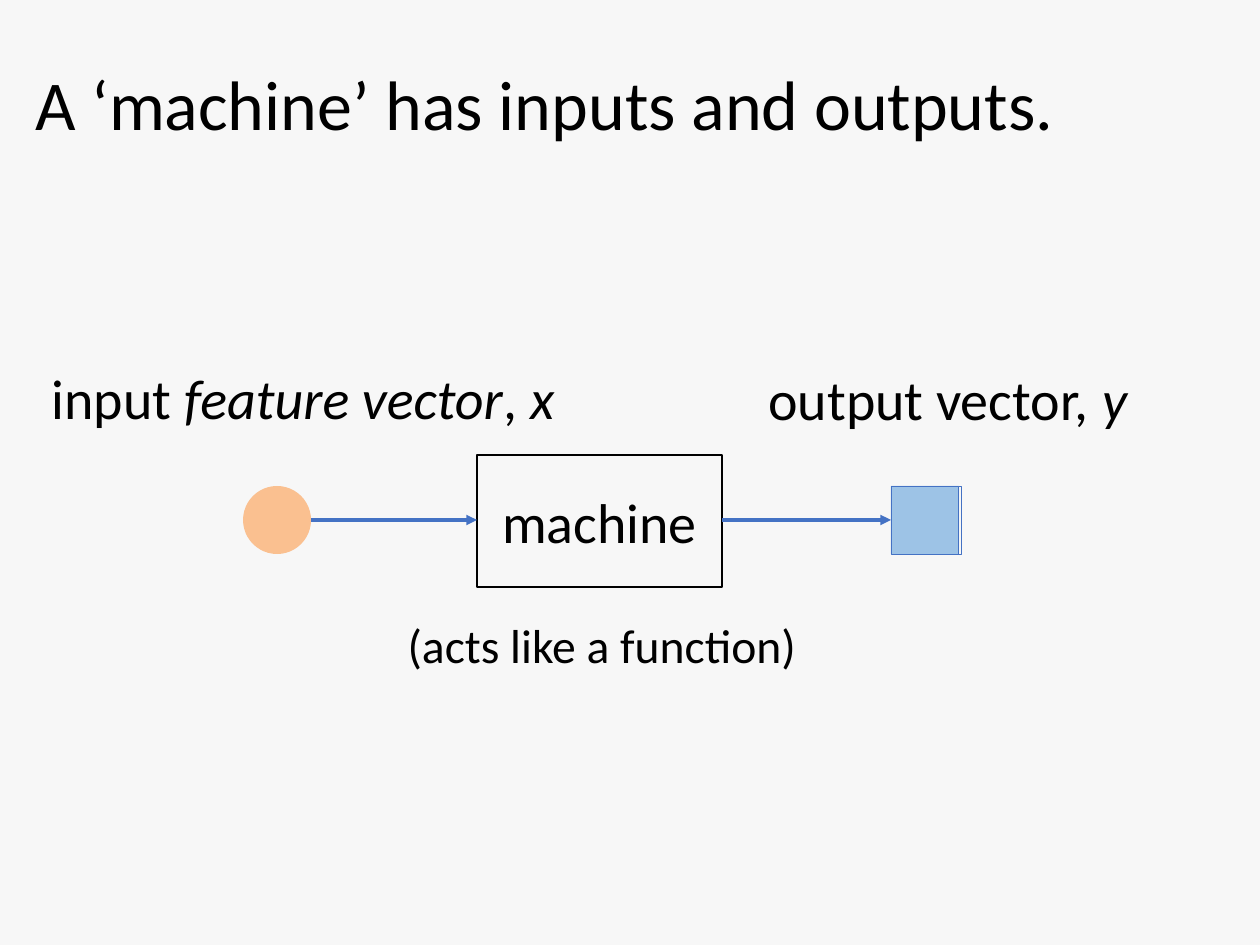
from pptx import Presentation
from pptx.dml.color import RGBColor as RGB
from pptx.enum.shapes import MSO_CONNECTOR as LINK, MSO_SHAPE as FORM
from pptx.enum.text import MSO_ANCHOR as ANCHOR, PP_ALIGN as ALIGN
from pptx.oxml.ns import qn
from pptx.util import Inches, Pt
from lxml.etree import SubElement

PX = Inches(1) / 126
INK = {"back": "F7F7F7", "text": "000000", "blue": "4472C4",
       "input": "FAC090", "output": "9DC3E6"}


def scale(*nums):
    return [round(num * PX) for num in nums]


def write(shape, parts, size, align, anchor, before, lead):
    frame = shape.text_frame
    frame.word_wrap = True
    frame.vertical_anchor = anchor
    para = frame.paragraphs[0]
    para.alignment = align
    para.space_before = Pt(before)
    para.line_spacing = lead
    for num, part in enumerate(parts):
        run = para.add_run()
        run.text = part
        run.font.name = "Calibri"
        run.font.size = Pt(size)
        run.font.italic = num % 2 == 1
        run.font.color.rgb = RGB.from_string(INK["text"])


deck = Presentation()
deck.slide_width, deck.slide_height = scale(1260, 945)
slide = deck.slides.add_slide(deck.slide_layouts[6])
fill = slide.background.fill
fill.solid()
fill.fore_color.rgb = RGB.from_string(INK["back"])

labels = [
    ((23, 16, 1086, 183), ["A ‘machine’ has inputs and outputs."],
     40, ALIGN.LEFT, ANCHOR.MIDDLE, 0, 0.9),
    ((39, 365, 537, 95), ["input ", "feature vector", ", ", "x"],
     32, ALIGN.LEFT, ANCHOR.TOP, 7.5, 0.9),
    ((756, 358, 406, 95), ["output vector, ", "y"],
     32, ALIGN.LEFT, ANCHOR.TOP, 6.4, 1.0),
    ((394, 610, 416, 112), ["(acts like a function)"],
     27.2, ALIGN.CENTER, ANCHOR.TOP, 5.4, 1.0),
]
for place, parts, *style in labels:
    write(slide.shapes.add_textbox(*scale(*place)), parts, *style)

nodes = [
    (FORM.OVAL, (243, 486, 68, 68), "input", None, 0, []),
    (FORM.RECTANGLE, (893, 486, 68, 68), None, "blue", 0.5, []),
    (FORM.RECTANGLE, (477, 455, 245, 132), None, "text", 0.75, ["machine"]),
    (FORM.RECTANGLE, (891, 486, 68, 68), "output", "blue", 0.5, []),
]
for form, place, paint, edge, width, parts in nodes:
    node = slide.shapes.add_shape(form, *scale(*place))
    node.shadow.inherit = False
    if paint:
        node.fill.solid()
        node.fill.fore_color.rgb = RGB.from_string(INK[paint])
    else:
        node.fill.background()
    if edge:
        node.line.color.rgb = RGB.from_string(INK[edge])
        node.line.width = Pt(width)
    else:
        node.line.fill.background()
    if parts:
        write(node, parts, 32, ALIGN.CENTER, ANCHOR.MIDDLE, 6.4, 1.0)

for start, end in [(311, 477), (722, 891)]:
    arrow = slide.shapes.add_connector(LINK.STRAIGHT, *scale(start, 520, end, 520))
    arrow.line.color.rgb = RGB.from_string(INK["blue"])
    arrow.line.width = Pt(2)
    SubElement(arrow.line._get_or_add_ln(), qn("a:tailEnd"), type="triangle")
    SubElement(arrow._element.spPr, qn("a:effectLst"))

deck.save("out.pptx")
